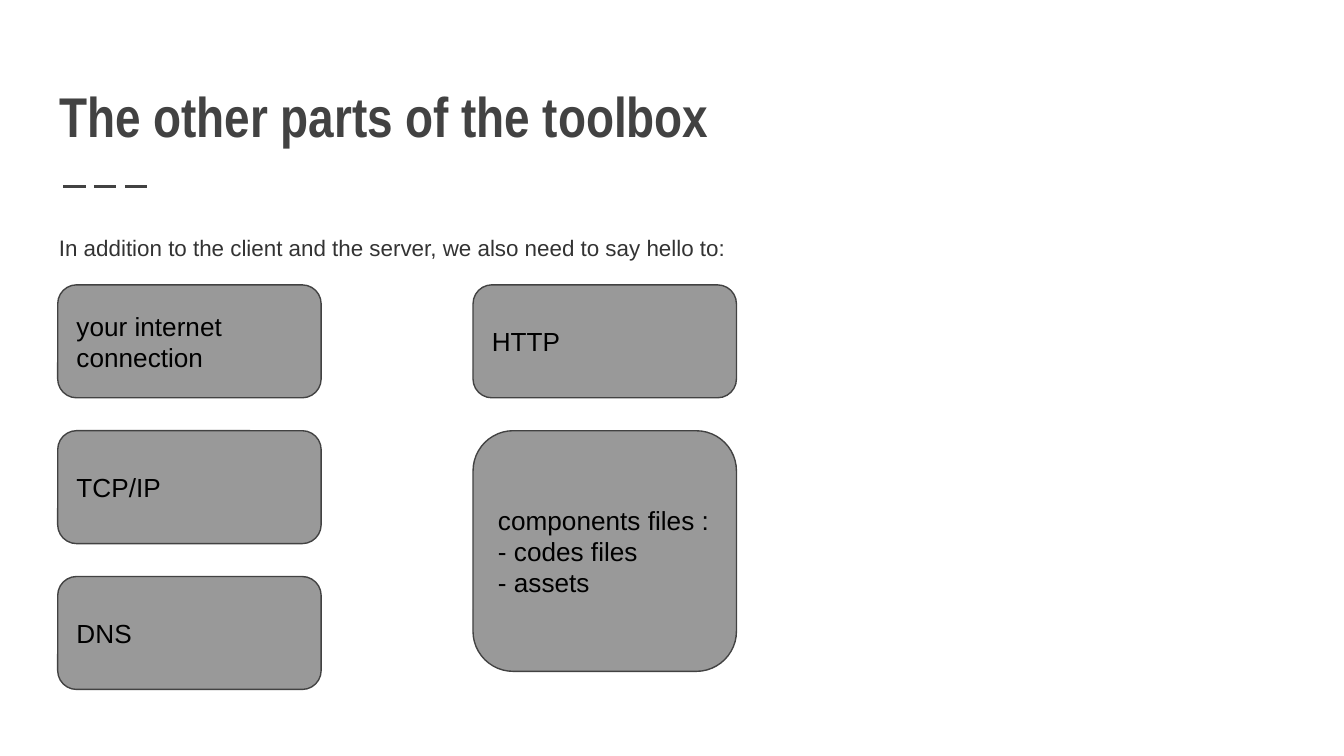
from lxml.etree import SubElement
from pptx import Presentation
from pptx.dml.color import RGBColor
from pptx.enum.dml import MSO_LINE
from pptx.enum.shapes import MSO_CONNECTOR, MSO_SHAPE
from pptx.enum.text import MSO_ANCHOR as Anchor, MSO_AUTO_SIZE, PP_ALIGN
from pptx.oxml.ns import qn
from pptx.util import Inches, Pt

COLORS = {"ink": "424242", "body": "333333", "box": "999999", "label": "000000"}
COLUMNS, ROWS = 100, 56.25
CELL = Inches(0.1)
TOPICS = [
    ("your internet connection", 0, 0, 8.4),
    ("TCP/IP", 0, 1, 8.4),
    ("DNS", 0, 2, 8.4),
    ("HTTP", 1, 0, 8.4),
    ("components files :\n- codes files\n- assets", 1, 1, 17.9),
]


def color(name):
    return RGBColor.from_string(COLORS[name])


def cells(*counts):
    return [round(count * CELL) for count in counts]


def write(frame, text, size=14, font="Arial", ink="label", bold=False,
          anchor=Anchor.MIDDLE, spacing=1.0):
    frame.word_wrap = True
    frame.auto_size = MSO_AUTO_SIZE.NONE
    frame.vertical_anchor = anchor
    frame.margin_left = frame.margin_right = CELL
    frame.margin_top = frame.margin_bottom = CELL
    frame.text = text
    for paragraph in frame.paragraphs:
        paragraph.alignment = PP_ALIGN.LEFT
        paragraph.line_spacing = spacing
        paragraph.space_before = Pt(0)
        style = paragraph.runs[0].font
        style.size, style.name, style.bold = Pt(size), font, bold
        style.color.rgb = color(ink)


class ToolboxSlide:
    left, top = 4.3, 21.2
    column_step, row_step = 30.9, 10.85
    box_width = 19.6

    def __init__(self, deck):
        self.slide = deck.slides.add_slide(deck.slide_layouts[5])
        self.shapes = self.slide.shapes

    def title(self, text):
        heading = self.shapes.title
        heading.left, heading.top, heading.width, heading.height = cells(3.4, 4.1, 93.2, 8)
        write(heading.text_frame, text, size=30, font="Arial Narrow", ink="ink",
              bold=True, anchor=Anchor.BOTTOM)

    def dashes(self):
        rule = self.shapes.add_connector(MSO_CONNECTOR.STRAIGHT,
                                         *cells(4.7, 13.9, 11.4, 13.9))
        rule.line.color.rgb = color("ink")
        rule.line.width = Pt(1.5)
        rule.line.dash_style = MSO_LINE.LONG_DASH
        SubElement(rule._element.spPr, qn("a:effectLst"))

    def intro(self, text):
        sentence = self.shapes.add_textbox(*cells(3.4, 16.1, 93.2, 33.9))
        write(sentence.text_frame, text, size=12, ink="body",
              anchor=Anchor.TOP, spacing=1.15)

    def topic(self, text, column, row, height):
        box = self.shapes.add_shape(
            MSO_SHAPE.ROUNDED_RECTANGLE,
            *cells(self.left + column * self.column_step,
                   self.top + row * self.row_step, self.box_width, height))
        box.shadow.inherit = False
        box.fill.solid()
        box.fill.fore_color.rgb = color("box")
        box.line.color.rgb = color("ink")
        box.line.width = Pt(0.75)
        write(box.text_frame, text)


def main():
    deck = Presentation()
    deck.slide_width, deck.slide_height = cells(COLUMNS, ROWS)
    toolbox = ToolboxSlide(deck)
    toolbox.dashes()
    toolbox.title("The other parts of the toolbox")
    toolbox.intro("In addition to the client and the server, we also need to say hello to:")
    for topic in TOPICS:
        toolbox.topic(*topic)
    deck.save("out.pptx")


if __name__ == "__main__":
    main()
